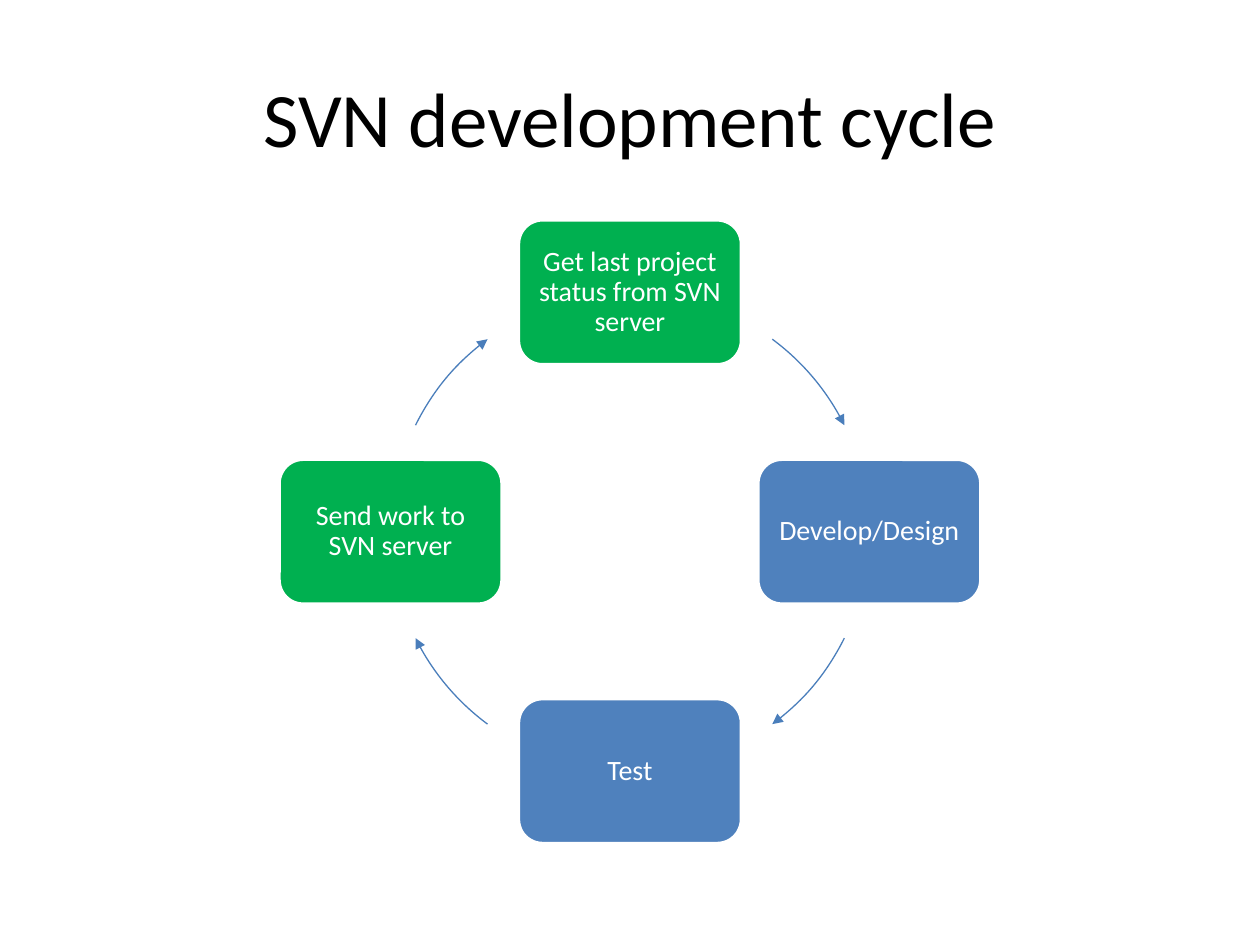
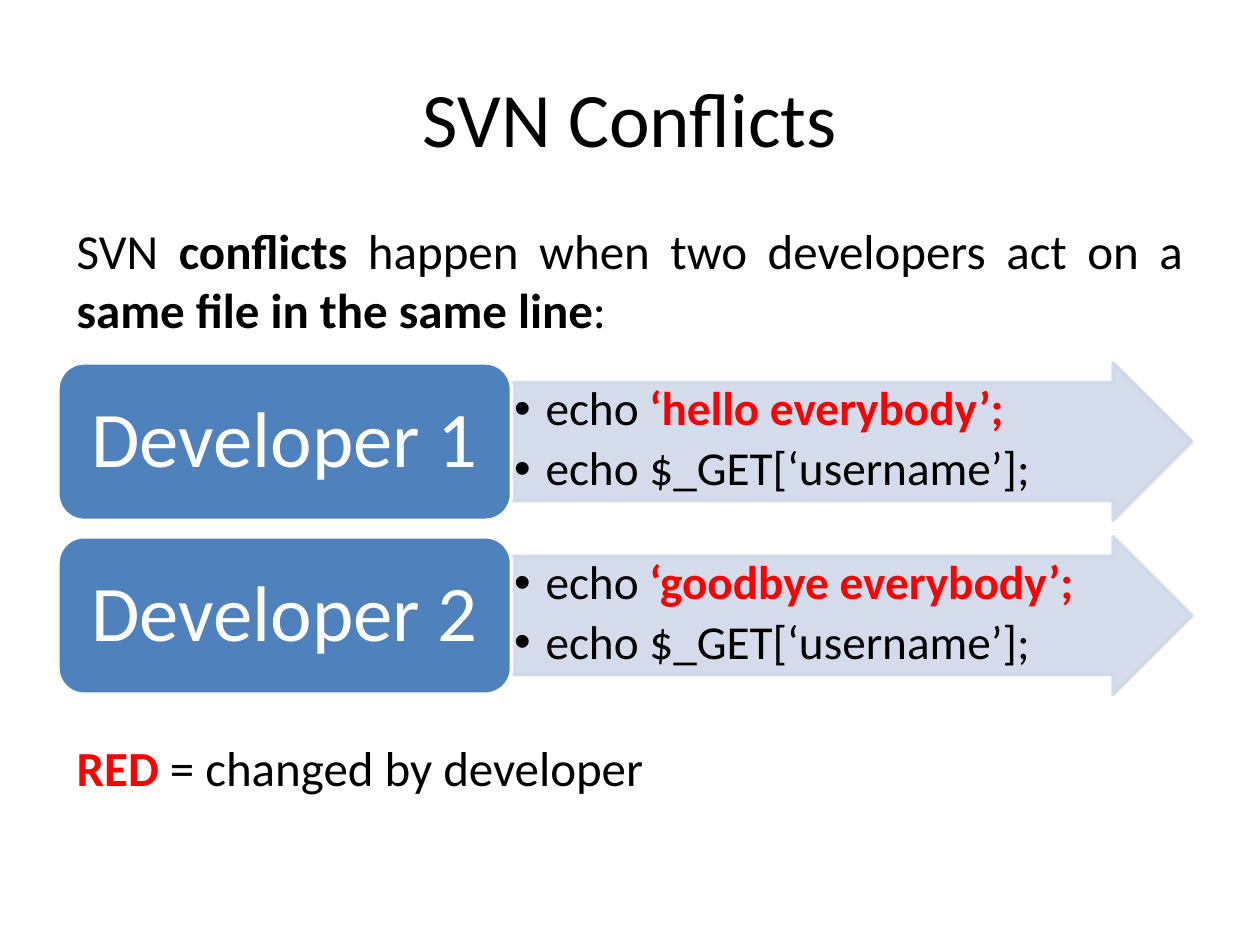
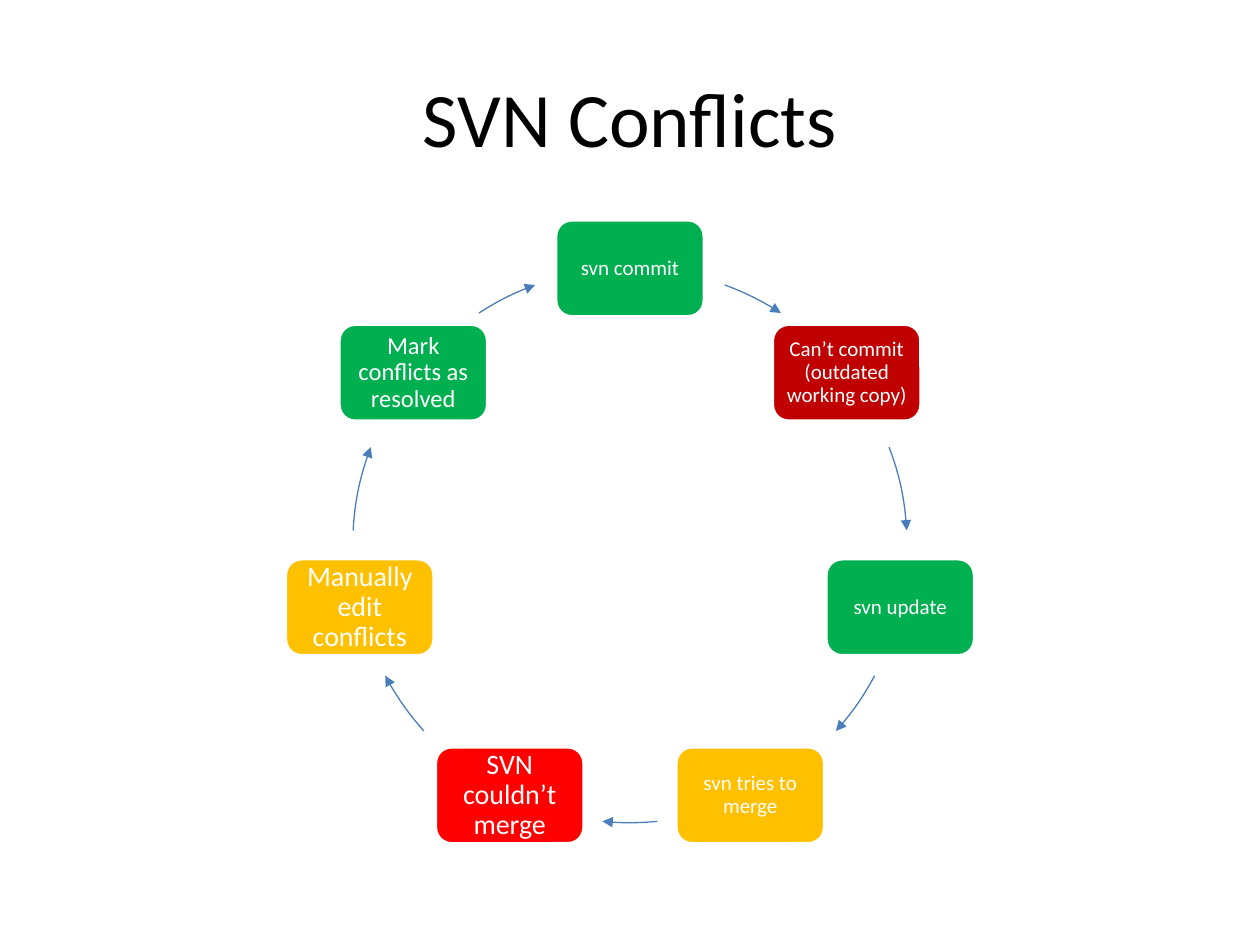
import math
from lxml import etree
from pptx import Presentation
from pptx import util as u
from pptx.dml.color import RGBColor
from pptx.enum import shapes, text
from pptx.oxml.ns import qn

COLOURS = {
    "ink": "000000", "white": "FFFFFF", "blue": "4F81BD", "arc": "4A7EBB",
    "pale": "D0D8E8", "green": "00B050", "amber": "FFC000", "red": "FF0000",
    "crimson": "C00000",
}
FONT = "Calibri"
WIDTH, HEIGHT = 10, 7.5

# Steps are (wording, colour, size). Arcs are degrees clockwise from the top,
# given for the right half only; the left half mirrors them.
DEVELOPMENT = {
    "title": "SVN development cycle",
    "centre": (WIDTH / 2, 4.22), "radius": 1.9, "box": (1.77, 1.15), "inset": 0.06,
    "steps": [
        ("Get last project status from SVN server", "green", 16),
        ("Develop/Design", "blue", 16),
        ("Test", "blue", 16),
        ("Send work to SVN server", "green", 16),
    ],
    "arcs": [(36.5, 63.6), (116.4, 143.5)],
}
RESOLUTION = {
    "title": "SVN Conflicts",
    "centre": (WIDTH / 2, 4.33), "radius": 2.2, "box": (1.18, 0.77), "inset": 0.05,
    "steps": [
        ("svn commit", "green", 12),
        ("Can’t commit (outdated working copy)", "crimson", 12),
        ("svn update", "green", 12),
        ("svn tries to merge", "amber", 12),
        ("SVN couldn’t merge", "red", 16),
        ("Manually edit conflicts", "amber", 16),
        ("Mark conflicts as resolved", "green", 14),
    ],
    "arcs": [(20, 33), (69.2, 86.9), (118, 132), (174.3, 185.7)],
}

# Spans are (wording, colour, bold)
SHARED_LINE = [("echo $_GET[‘username’];", "ink", False)]
DEVELOPERS = [
    ("Developer 1", "‘hello everybody’;"),
    ("Developer 2", "‘goodbye everybody’;"),
]
INTRO = [
    ("SVN ", "ink", False), ("conflicts", "ink", True),
    (" happen when two developers act on a ", "ink", False),
    ("same file in the same line", "ink", True), (":", "ink", False),
]
LEGEND = [("RED", "red", True), (" = changed by developer", "ink", False)]


def rgb(name):
    return RGBColor.from_string(COLOURS[name])


def add_page(deck, title):
    page = deck.slides.add_slide(deck.slide_layouts[5])
    frame = page.shapes.title
    frame.left, frame.top, frame.width, frame.height = map(u.Inches, (0.5, 0.3, 9, 1.25))
    para = frame.text_frame.paragraphs[0]
    para.alignment = text.PP_ALIGN.CENTER
    add_spans(para, [(title, "ink", False)], 44)
    return page


def add_spans(para, spans, size):
    for wording, colour, bold in spans:
        span = para.add_run()
        span.text = wording
        span.font.name, span.font.size, span.font.bold = FONT, u.Pt(size), bold
        span.font.color.rgb = rgb(colour)


def add_bullet(para):
    props = para._p.get_or_add_pPr()
    props.set("marL", str(u.Inches(0.25)))
    props.set("indent", str(-u.Inches(0.25)))
    tint = etree.SubElement(props, qn("a:buClr"))
    etree.SubElement(tint, qn("a:srgbClr"), val=COLOURS["ink"])
    etree.SubElement(props, qn("a:buFont"), typeface="Arial")
    etree.SubElement(props, qn("a:buChar"), char="•")


def write(shape, lines, size, insets, align=text.PP_ALIGN.LEFT,
          anchor=text.MSO_ANCHOR.TOP, spacing=None, after=0, bullets=False):
    frame = shape.text_frame
    frame.word_wrap, frame.vertical_anchor = True, anchor
    (frame.margin_left, frame.margin_top,
     frame.margin_right, frame.margin_bottom) = map(u.Inches, insets)
    for index, spans in enumerate(lines):
        para = frame.add_paragraph() if index else frame.paragraphs[0]
        if bullets:
            add_bullet(para)
        para.alignment, para.line_spacing, para.space_after = align, spacing, u.Pt(after)
        add_spans(para, spans, size)


def add_shape(page, kind, place, fill, line, weight):
    shape = page.shapes.add_shape(kind, *map(u.Inches, place))
    shape.shadow.inherit = False
    if fill:
        shape.fill.solid()
        shape.fill.fore_color.rgb = rgb(fill)
    else:
        shape.fill.background()
    shape.line.color.rgb, shape.line.width = rgb(line), u.Pt(weight)
    return shape


def add_card(page, place, fill, wording, size, insets, after):
    card = add_shape(page, shapes.MSO_SHAPE.ROUNDED_RECTANGLE, place, fill, "white", 2)
    write(card, [[(wording, "white", False)]], size, insets, text.PP_ALIGN.CENTER,
          text.MSO_ANCHOR.MIDDLE, 0.9, after)


def add_text(page, place, spans, align):
    box = page.shapes.add_textbox(*map(u.Inches, place))
    write(box, [spans], 28, (0.1, 0.05, 0.1, 0.05), align)


def add_cycle(deck, cycle):
    page = add_page(deck, cycle["title"])
    (mid_x, mid_y), radius, (wide, high) = cycle["centre"], cycle["radius"], cycle["box"]

    # Steps at equal angles, clockwise from the top
    for index, (wording, fill, size) in enumerate(cycle["steps"]):
        angle = math.tau * index / len(cycle["steps"])
        left = mid_x + radius * math.sin(angle) - wide / 2
        top = mid_y - radius * math.cos(angle) - high / 2
        add_card(page, (left, top, wide, high), fill, wording, size,
                 [cycle["inset"]] * 4, size * 0.42)

    # Arrows along the circle between the steps
    mirrored = [(360 - end, 360 - start) for start, end in cycle["arcs"] if end < 180]
    ring = (mid_x - radius, mid_y - radius, 2 * radius, 2 * radius)
    for span in cycle["arcs"] + mirrored:
        arc = add_shape(page, shapes.MSO_SHAPE.ARC, ring, None, "arc", 0.75)
        for index, degrees in enumerate(span):
            # Stored in 1/60000 degree, clockwise from the right
            arc.adjustments[index] = (degrees - 90) % 360 * 0.6
        etree.SubElement(arc.line._get_or_add_ln(), qn("a:tailEnd"), type="triangle")


def add_conflict(deck):
    page = add_page(deck, "SVN Conflicts")
    left, top, pitch, high = 0.46, 2.88, 1.38, 1.25
    card_wide, arrow_wide = 3.6, 5.4

    # One row for each developer: code in the arrow, name on the card
    for row, (name, change) in enumerate(DEVELOPERS):
        y = top + row * pitch
        arrow = add_shape(page, shapes.MSO_SHAPE.RIGHT_ARROW,
                          (left + card_wide, y, arrow_wide, high), "pale", "pale", 2)
        arrow.adjustments[0], arrow.adjustments[1] = 0.75, 0.5
        for tint in arrow._element.spPr.iter(qn("a:srgbClr")):
            etree.SubElement(tint, qn("a:alpha"), val="90000")
        code = [[("echo ", "ink", False), (change, "red", True)], SHARED_LINE]
        write(arrow, code, 27, (0.02, 0.02, 0.02, 0.02), spacing=0.9, after=5, bullets=True)
        add_card(page, (left, y, card_wide, high), "blue", name, 45,
                 (0.19, 0.09, 0.19, 0.09), 19)

    # Explanation above and colour key below
    add_text(page, (0.51, 1.7, 8.98, 1.05), INTRO, text.PP_ALIGN.JUSTIFY)
    add_text(page, (0.51, 5.8, 8.9, 0.58), LEGEND, text.PP_ALIGN.LEFT)


def main():
    deck = Presentation()
    deck.slide_width, deck.slide_height = u.Inches(WIDTH), u.Inches(HEIGHT)
    add_cycle(deck, DEVELOPMENT)
    add_conflict(deck)
    add_cycle(deck, RESOLUTION)
    deck.save("out.pptx")


if __name__ == "__main__":
    main()
